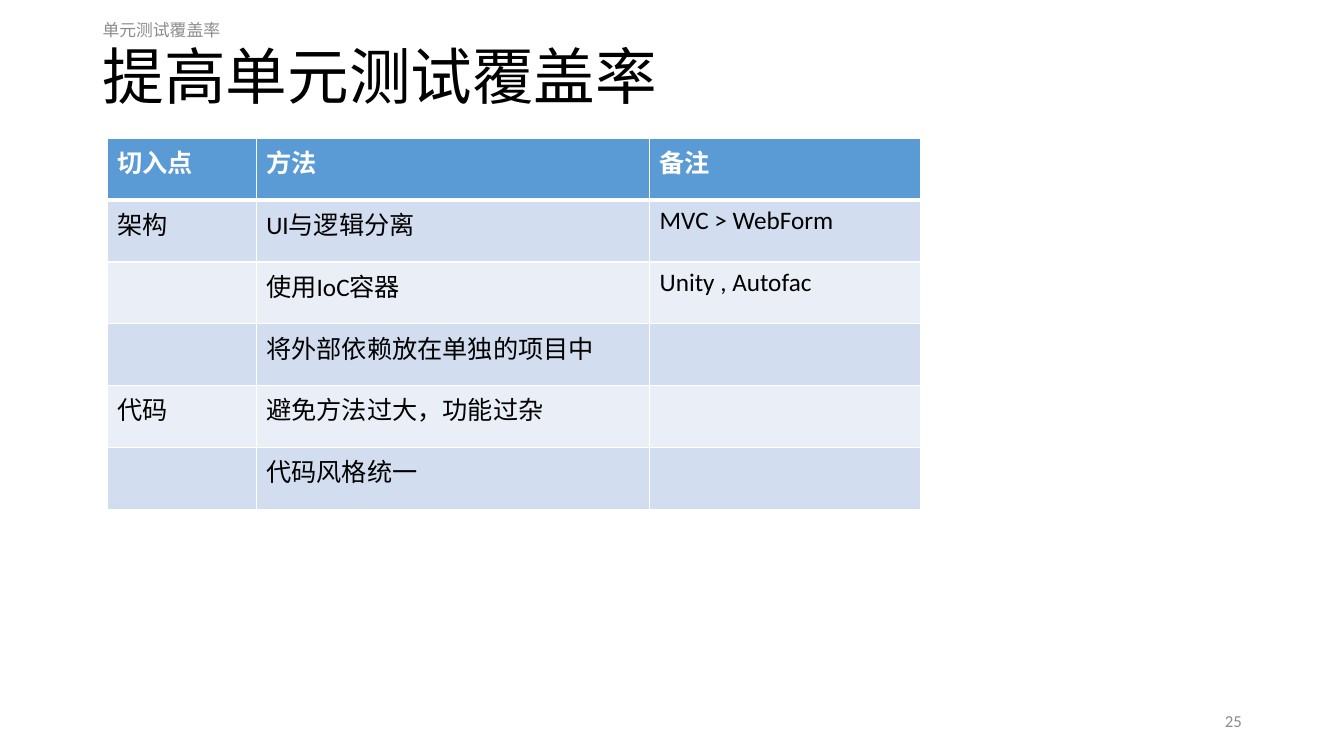
from dataclasses import dataclass
from lxml.etree import SubElement
from pptx import Presentation
from pptx.dml.color import RGBColor as RGB
from pptx.enum.text import MSO_ANCHOR as Anchor, PP_ALIGN as Align
from pptx.oxml.ns import qn
from pptx.util import Pt


@dataclass(frozen=True)
class Theme:
    font: str = "Calibri"
    ink: str = "000000"
    muted: str = "8C8C8C"
    white: str = "FFFFFF"
    header: str = "5B9BD5"
    bands: tuple = ("D2DEEF", "EAEFF7")
    title_size: int = 44
    body_size: int = 18
    small_size: int = 12
    thin: int = 1
    thick: int = 3


class Deck:
    def __init__(self, theme, width, height):
        self.theme = theme
        self.prs = Presentation()
        self.prs.slide_width, self.prs.slide_height = Pt(width), Pt(height)
        self.slide = self.prs.slides.add_slide(self.prs.slide_layouts[6])

    def add_text(self, tf, text, size, color, bold=False, **paragraph):
        p = tf.paragraphs[0]
        for name, value in paragraph.items():
            setattr(p, name, value)
        r = p.add_run()
        r.text = text
        style = {"name": self.theme.font, "size": Pt(size), "bold": bold}
        for name, value in style.items():
            setattr(r.font, name, value)
        r.font.color.rgb = RGB.from_string(color)

    def text_box(self, box, text, size, color, **paragraph):
        tf = self.slide.shapes.add_textbox(*map(Pt, box)).text_frame
        tf.word_wrap = True
        tf.vertical_anchor = Anchor.MIDDLE
        self.add_text(tf, text, size, color, **paragraph)

    def borders(self, cell, **widths):
        tc_pr = cell._tc.get_or_add_tcPr()
        for side, width in widths.items():
            ln = SubElement(tc_pr, qn(f"a:ln{side}"), w=str(Pt(width)))
            fill = SubElement(ln, qn("a:solidFill"))
            SubElement(fill, qn("a:srgbClr"), val=self.theme.white)

    def table(self, left, top, widths, row_height, rows):
        t = self.theme
        box = (left, top, sum(widths), row_height * len(rows))
        table = self.slide.shapes.add_table(len(rows), len(widths), *map(Pt, box)).table
        for column, width in zip(table.columns, widths):
            column.width = Pt(width)
        for i, row in enumerate(rows):
            table.rows[i].height = Pt(row_height)
            is_header = i == 0
            fill = t.header if is_header else t.bands[(i - 1) % 2]
            for j, text in enumerate(row):
                cell = table.cell(i, j)
                self.borders(cell, L=t.thin, R=t.thin,
                             T=t.thick if i == 1 else t.thin,
                             B=t.thick if is_header else t.thin)
                cell.fill.solid()
                cell.fill.fore_color.rgb = RGB.from_string(fill)
                if text:
                    self.add_text(cell.text_frame, text, t.body_size,
                                  t.white if is_header else t.ink, is_header)


theme = Theme()
deck = Deck(theme, 960, 540)
margin = 66.24

deck.text_box((margin, 28.8, 812.16, 56.16), "提高单元测试覆盖率",
              theme.title_size, theme.ink, line_spacing=0.9)
deck.table(76.5, 98.9, (106.5, 281, 193.5), 44.16, [
    ("切入点", "方法", "备注"),
    ("架构", "UI与逻辑分离", "MVC > WebForm"),
    ("", "使用IoC容器", "Unity , Autofac"),
    ("", "将外部依赖放在单独的项目中", ""),
    ("代码", "避免方法过大，功能过杂", ""),
    ("", "代码风格统一", ""),
])
deck.text_box((margin, 7.2, 324, 28.8), "单元测试覆盖率",
              theme.small_size, theme.muted)
deck.text_box((678.24, 500.4, 216, 28.8), "25",
              theme.small_size, theme.muted, alignment=Align.RIGHT)

deck.prs.save("out.pptx")
